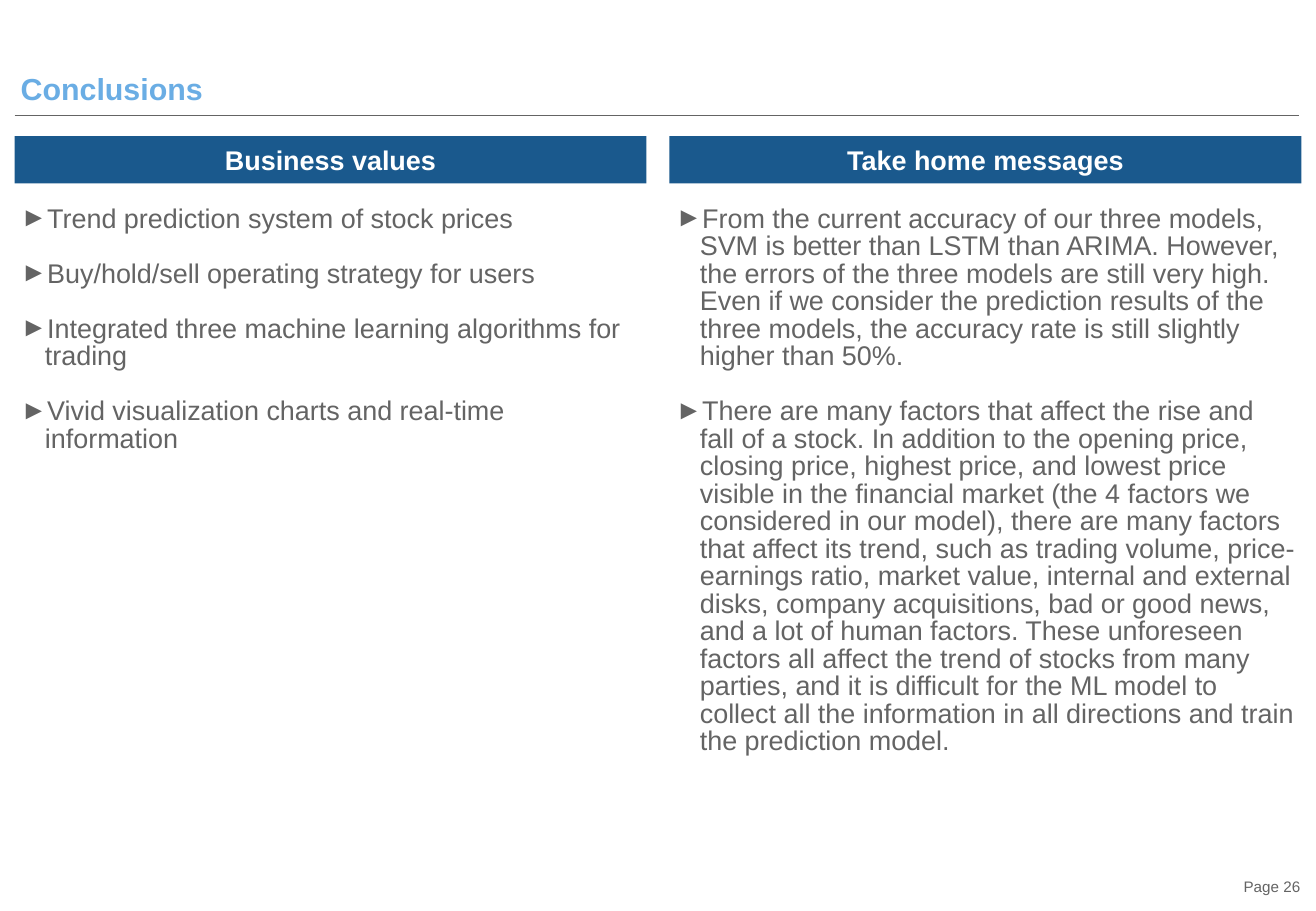
from lxml import etree
from pptx import Presentation
from pptx.dml.color import RGBColor
from pptx.enum.shapes import MSO_CONNECTOR, MSO_SHAPE
from pptx.enum.text import MSO_ANCHOR, PP_ALIGN
from pptx.oxml.ns import qn
from pptx.util import Inches, Pt

TITLE = "Conclusions"
PAGE = "Page 26"
COLUMNS = [
    ("Business values", 2.16, [
        "Trend prediction system of stock prices",
        "Buy/hold/sell operating strategy for users",
        "Integrated three machine learning algorithms for trading",
        "Vivid visualization charts and real-time information",
    ]),
    ("Take home messages", 4.68, [
        "From the current accuracy of our three models, SVM is better than LSTM than ARIMA. "
        "However, the errors of the three models are still very high. Even if we consider the "
        "prediction results of the three models, the accuracy rate is still slightly higher "
        "than 50%.",
        "There are many factors that affect the rise and fall of a stock. In addition to the "
        "opening price, closing price, highest price, and lowest price visible in the financial "
        "market (the 4 factors we considered in our model), there are many factors that affect "
        "its trend, such as trading volume, price-earnings ratio, market value, internal and "
        "external disks, company acquisitions, bad or good news, and a lot of human factors. "
        "These unforeseen factors all affect the trend of stocks from many parties, and it is "
        "difficult for the ML model to collect all the information in all directions and train "
        "the prediction model.",
    ]),
]

COLORS = {"text": "646464", "title": "6AADE4", "band": "1A598D", "white": "FFFFFF"}
WIDTH, HEIGHT = 10.83, 7.5
LEFT, COL_W, GAP = 0.12, 5.2, 0.19
CONTENT_W = 2 * COL_W + GAP
RULE_Y, RULE_END = 0.95, 10.69
BAND_Y, BAND_H, BODY_Y = 1.12, 0.39, 1.65
INDENT, BULLET = 0.2, "►"
LINE_SPACING, ITEM_GAP = 0.85, 16.3


def color(name):
    return RGBColor.from_string(COLORS[name])


def write(sp, lines, size, ink, bold=False, margins=(0, 0, 0, 0),
          anchor=MSO_ANCHOR.TOP, **layout):
    tf = sp.text_frame
    tf.word_wrap = True
    tf.vertical_anchor = anchor
    for side, value in zip(("left", "top", "right", "bottom"), margins):
        setattr(tf, f"margin_{side}", Inches(value))
    for i, line in enumerate(lines):
        p = tf.add_paragraph() if i else tf.paragraphs[0]
        for key, value in layout.items():
            setattr(p, key, value)
        r = p.add_run()
        r.text = line
        for key, value in {"name": "Arial", "size": Pt(size), "bold": bold}.items():
            setattr(r.font, key, value)
        r.font.color.rgb = color(ink)
    return tf


def add_bullet(p):
    pPr = p._p.get_or_add_pPr()
    pPr.set("marL", str(Inches(INDENT)))
    pPr.set("indent", str(-Inches(INDENT)))
    clr = etree.SubElement(pPr, qn("a:buClr"))
    etree.SubElement(clr, qn("a:srgbClr"), val=COLORS["text"])
    etree.SubElement(pPr, qn("a:buFont"), typeface="Arial")
    etree.SubElement(pPr, qn("a:buChar"), char=BULLET)


def add_text(s, x, y, w, h):
    return s.shapes.add_textbox(Inches(x), Inches(y), Inches(w), Inches(h))


def add_column(s, x, heading, body_h, items):
    band = s.shapes.add_shape(MSO_SHAPE.RECTANGLE, Inches(x), Inches(BAND_Y),
                              Inches(COL_W), Inches(BAND_H))
    band.shadow.inherit = False
    band.fill.solid()
    band.fill.fore_color.rgb = color("band")
    band.line.fill.background()
    write(band, [heading], 16, "white", True, (0.1, 0.05, 0.1, 0.05),
          MSO_ANCHOR.MIDDLE, alignment=PP_ALIGN.CENTER)
    tf = write(add_text(s, x, BODY_Y, COL_W, body_h), items, 16, "text",
               margins=(0.05,) * 4, line_spacing=LINE_SPACING, space_after=Pt(ITEM_GAP))
    for p in tf.paragraphs:
        add_bullet(p)


def main():
    prs = Presentation()
    prs.slide_width, prs.slide_height = Inches(WIDTH), Inches(HEIGHT)
    s = prs.slides.add_slide(prs.slide_layouts[6])

    write(add_text(s, 8.16, 7.19, 2.54, 0.22), [PAGE], 9, "text",
          anchor=MSO_ANCHOR.MIDDLE, alignment=PP_ALIGN.RIGHT)
    rule = s.shapes.add_connector(MSO_CONNECTOR.STRAIGHT, Inches(LEFT), Inches(RULE_Y),
                                  Inches(RULE_END), Inches(RULE_Y))
    rule.line.color.rgb = color("text")
    rule.line.width = Pt(0.75)
    etree.SubElement(rule._element.spPr, qn("a:effectLst"))
    write(add_text(s, LEFT, 0.01, CONTENT_W, 0.87), [TITLE], 18, "title", True,
          (0.05, 0, 0, 0), MSO_ANCHOR.BOTTOM, line_spacing=LINE_SPACING)

    for i, column in enumerate(COLUMNS):
        add_column(s, LEFT + i * (COL_W + GAP), *column)

    prs.save("out.pptx")


if __name__ == "__main__":
    main()
